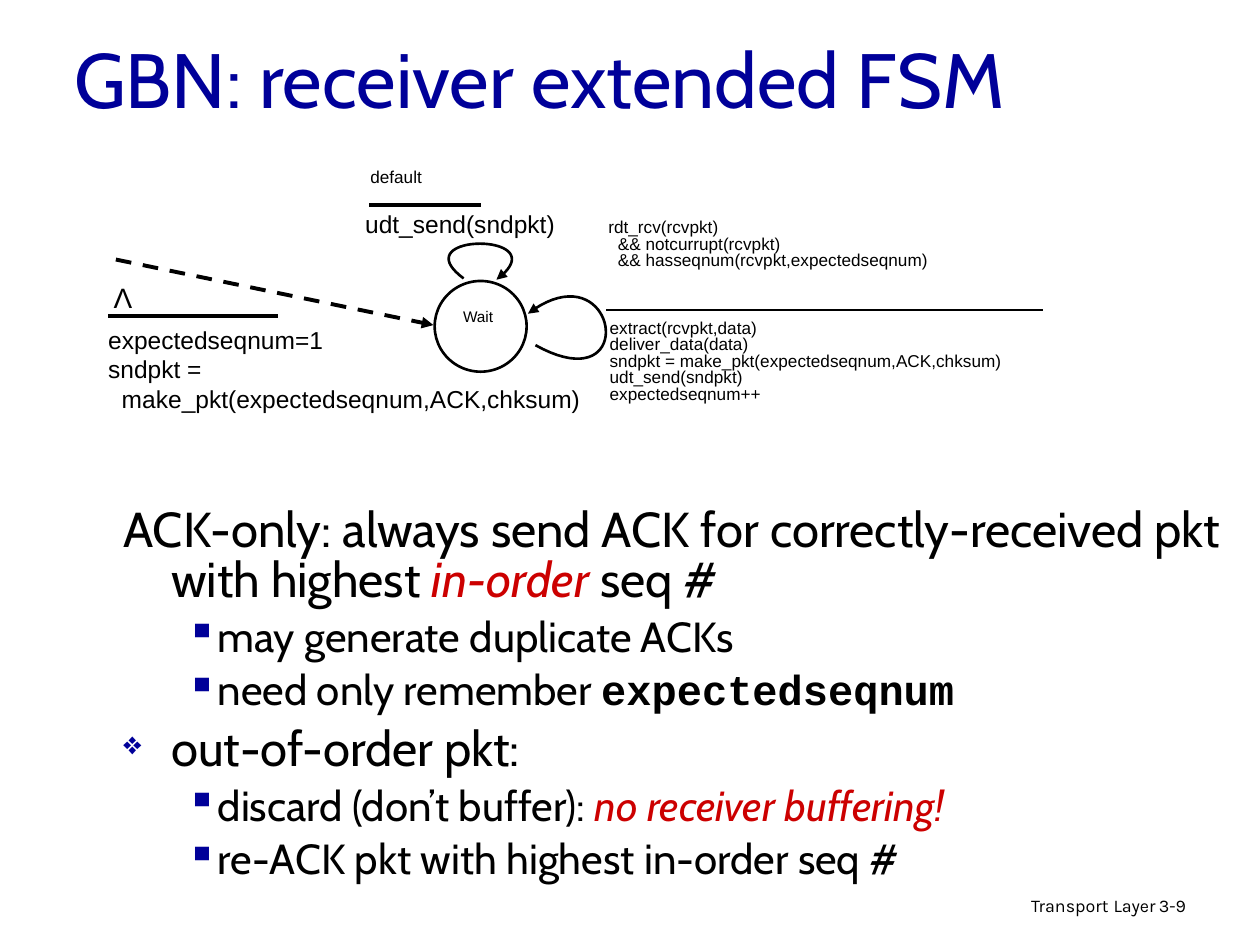
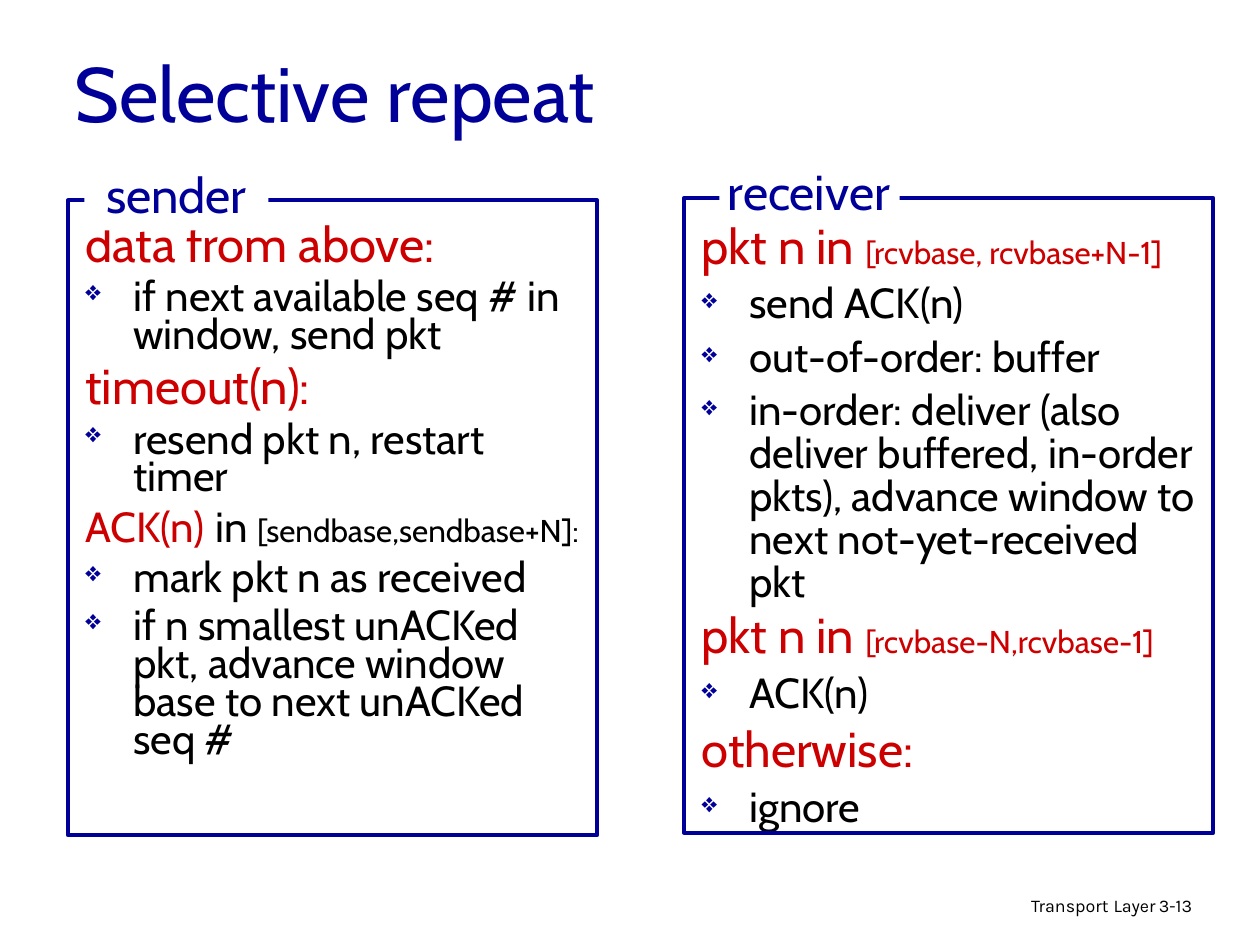
from dataclasses import dataclass

from pptx import Presentation
from pptx.dml.color import RGBColor
from pptx.enum.dml import MSO_LINE
from pptx.enum.shapes import MSO_CONNECTOR, MSO_SHAPE
from pptx.enum.text import MSO_ANCHOR, PP_ALIGN
from pptx.oxml import parse_xml
from pptx.oxml.ns import nsdecls, qn
from pptx.util import Pt

PX = 9144  # 100 px to the inch


@dataclass(frozen=True)
class Theme:
    navy: str = "000099"
    red: str = "CC0000"
    black: str = "000000"
    white: str = "FFFFFF"
    body: str = "Cabin"
    code: str = "Courier New"
    diagram: str = "Arial"
    footer: str = "Karla"
    title_pt: float = 44
    head_pt: float = 28
    item_pt: float = 24
    range_pt: float = 18
    lambda_pt: float = 16
    action_pt: float = 14
    event_pt: float = 9.8
    state_pt: float = 8.8
    footer_pt: float = 10.2
    thick: float = 2.25
    thin: float = 1.5


T = Theme()

# Font formats: attributes of a run's font, plus its ink colour
TITLE = dict(name=T.body, size=Pt(T.title_pt), ink=T.navy)
HEAD = dict(name=T.body, size=Pt(T.head_pt), ink=T.black)
ITEM = HEAD | dict(size=Pt(T.item_pt))
RED_HEAD = HEAD | dict(ink=T.red)
RED_RANGE = RED_HEAD | dict(size=Pt(T.range_pt))
RANGE = RED_RANGE | dict(ink=T.black)
LABEL = HEAD | dict(ink=T.navy)
ACTION = dict(name=T.diagram, size=Pt(T.action_pt), ink=T.black)
EVENT = ACTION | dict(size=Pt(T.event_pt))
STATE = ACTION | dict(size=Pt(T.state_pt))
LAMBDA = ACTION | dict(size=Pt(T.lambda_pt))
FOOTER = dict(name=T.footer, size=Pt(T.footer_pt), ink=T.black)

# List levels: left margin, hanging indent, bullet, bullet size in percent
PLAIN = (38, -38, None, 100)
DIAMOND = (38, -38, "❖", 65)
SQUARE = (75, -25, "▪", 100)


def apply(target, values):
    for name, value in values.items():
        setattr(target, name, value)


def emu(*lengths):
    return [round(length * PX) for length in lengths]


def within(box, part):
    return box[0] + part[0], box[1] + part[1], *part[2:]


def set_level(paragraph, level):
    margin, indent, bullet, percent = level
    props = paragraph._p.get_or_add_pPr()
    props.set("marL", str(margin * PX))
    props.set("indent", str(indent * PX))
    if not bullet:
        return
    for xml in (
        f'<a:buClr {nsdecls("a")}><a:srgbClr val="{T.navy}"/></a:buClr>',
        f'<a:buSzPct {nsdecls("a")} val="{percent * 1000}"/>',
        f'<a:buChar {nsdecls("a")} char="{bullet}"/>',
    ):
        props.append(parse_xml(xml))


def add_runs(paragraph, runs):
    for words, style in runs:
        run = paragraph.add_run()
        run.text = words
        apply(run.font, {k: v for k, v in style.items() if k != "ink"})
        run.font.color.rgb = RGBColor.from_string(style["ink"])


def add_text(slide, box, lines, anchor=MSO_ANCHOR.TOP, wrap=True, **layout):
    """Each line is (runs, level, space before); layout goes to every paragraph."""
    frame = slide.shapes.add_textbox(*emu(*box)).text_frame
    apply(frame, dict(word_wrap=wrap, vertical_anchor=anchor))
    for index, (runs, level, before) in enumerate(lines):
        paragraph = frame.add_paragraph() if index else frame.paragraphs[0]
        if level:
            set_level(paragraph, level)
        apply(paragraph, layout | dict(space_before=Pt(before if index else 0)))
        add_runs(paragraph, runs)


def add_lines(slide, box, words, style, **layout):
    lines = [([(line, style)], None, 0) for line in words]
    add_text(slide, box, lines, **layout)


def stroke(shape, width, ink=T.black, dash=None, arrow=False):
    shape.line.color.rgb = RGBColor.from_string(ink)
    apply(shape.line, dict(width=Pt(width), dash_style=dash))
    if arrow:
        outline = shape.element.spPr.find(qn("a:ln"))
        outline.append(parse_xml(f'<a:tailEnd {nsdecls("a")} type="triangle"/>'))


def add_line(slide, start, end, width, **look):
    line = slide.shapes.add_connector(MSO_CONNECTOR.STRAIGHT, *emu(*start, *end))
    stroke(line, width, **look)
    line.element.spPr.append(parse_xml(f'<a:effectLst {nsdecls("a")}/>'))


def add_shape(slide, kind, box, fill=None):
    shape = slide.shapes.add_shape(kind, *emu(*box))
    shape.shadow.inherit = False
    shape.line.fill.background()
    if fill:
        shape.fill.solid()
        shape.fill.fore_color.rgb = RGBColor.from_string(fill)
    else:
        shape.fill.background()
    return shape


def add_loop(slide, controls, steps=40):
    """Cubic curve with an arrowhead, drawn through evenly stepped points."""
    def point(t):
        weights = ((1 - t) ** 3, 3 * t * (1 - t) ** 2, 3 * t * t * (1 - t), t ** 3)
        return emu(*(sum(w * c for w, c in zip(weights, axis)) for axis in zip(*controls)))

    builder = slide.shapes.build_freeform(*point(0))
    builder.add_line_segments([point(i / steps) for i in range(1, steps + 1)], close=False)
    loop = builder.convert_to_shape()
    loop.shadow.inherit = False
    loop.fill.background()
    stroke(loop, T.thin, arrow=True)


def new_slide(deck, title, title_box, number):
    slide = deck.slides.add_slide(deck.slide_layouts[6])
    add_lines(slide, title_box, [title], TITLE, anchor=MSO_ANCHOR.MIDDLE)
    footer = [("Transport", FOOTER), (" ", FOOTER | dict(size=Pt(11.9))), ("Layer", FOOTER)]
    add_text(slide, (610, 705, 317, 31), [(footer, None, 0)],
             alignment=PP_ALIGN.RIGHT, line_spacing=0.9)
    add_lines(slide, (910, 707, 74, 30), [number], FOOTER, line_spacing=0.9)
    return slide


def state_machine(slide, box):
    def at(*part):
        return within(box, part)

    # Wait state and its incoming transition
    stroke(add_shape(slide, MSO_SHAPE.OVAL, at(269, 93, 73, 72), T.white), T.thin)
    add_lines(slide, at(260, 112, 87, 26), ["Wait"], STATE,
              alignment=PP_ALIGN.CENTER, line_spacing=0.8)
    add_line(slide, at(16, 76), at(268, 128), T.thick, dash=MSO_LINE.DASH, arrow=True)
    add_lines(slide, at(4, 88, 35, 37), ["Λ"], LAMBDA,
              wrap=False, alignment=PP_ALIGN.CENTER)
    add_line(slide, at(10, 121), at(145, 121), T.thick)
    add_lines(slide, at(0, 123, 398, 107), [
        "expectedseqnum=1",
        "sndpkt =",
        "  make_pkt(expectedseqnum,ACK,chksum)",
    ], ACTION)

    # Default transition
    add_lines(slide, at(208, 0, 79, 27), ["default"], EVENT, line_spacing=0.8)
    add_line(slide, at(217, 33), at(306, 33), T.thick)
    add_lines(slide, at(204, 31, 177, 34), ["udt_send(sndpkt)"], ACTION)
    add_loop(slide, [at(292, 91), at(242, 54), at(369, 54), at(318, 92)])

    # In-order packet transition
    add_lines(slide, at(397, 40, 390, 62), [
        "rdt_rcv(rcvpkt)",
        "  && notcurrupt(rcvpkt)",
        "  && hasseqnum(rcvpkt,expectedseqnum)",
    ], EVENT, line_spacing=0.8)
    add_line(slide, at(405, 116), at(752, 116), T.thin)
    add_lines(slide, at(398, 120, 472, 94), [
        "extract(rcvpkt,data)",
        "deliver_data(data)",
        "sndpkt = make_pkt(expectedseqnum,ACK,chksum)",
        "udt_send(sndpkt)",
        "expectedseqnum++",
    ], EVENT, line_spacing=0.8)
    add_loop(slide, [at(349, 144), at(434, 191), at(414, 65), at(343, 119)])


def ack_rules(slide, box):
    stress = dict(ink=T.red, italic=True)
    add_text(slide, box, [
        ([("ACK-only: always send ACK for correctly-received pkt with highest ", HEAD),
          ("in-order", HEAD | stress), (" seq #", HEAD)], PLAIN, 0),
        ([("may generate duplicate ACKs", ITEM)], SQUARE, 6),
        ([("need only remember ", ITEM),
          ("expectedseqnum", ITEM | dict(name=T.code, bold=True))], SQUARE, 6),
        ([("out-of-order pkt:", HEAD)], DIAMOND, 7),
        ([("discard (don’t buffer): ", ITEM),
          ("no receiver buffering!", ITEM | stress)], SQUARE, 6),
        ([("re-ACK pkt with highest in-order seq #", ITEM)], SQUARE, 6),
    ], line_spacing=0.85)


def role_panel(slide, box, role, label, gap, rules, spacing):
    """Framed list whose top edge is broken by the name of the role."""
    add_text(slide, within(box, (4, 16, 417, 508)), rules, line_spacing=spacing)
    stroke(add_shape(slide, MSO_SHAPE.RECTANGLE, box), T.thick, T.navy)
    add_shape(slide, MSO_SHAPE.RECTANGLE, within(box, gap), T.white)
    add_lines(slide, within(box, label), [role], LABEL,
              wrap=False, alignment=PP_ALIGN.CENTER)


def item(words):
    return [(words, ITEM)], DIAMOND, 6


def event(words, interval=None, before=7):
    runs = [(words, RED_HEAD)]
    if interval:
        runs.append((interval, RED_RANGE))
    return runs, PLAIN, before


def receiver_fsm_slide(deck):
    slide = new_slide(deck, "GBN: receiver extended FSM", (49, 23, 850, 77), "3-9")
    ack_rules(slide, (88, 398, 891, 312))
    state_machine(slide, (76, 130, 870, 230))


def selective_repeat_slide(deck):
    slide = new_slide(deck, "Selective repeat", (49, 27, 850, 92), "3-13")
    sender_tab = (13, -33, 146, 57)
    role_panel(slide, (54, 159, 420, 504), "sender", sender_tab, sender_tab, [
        event("data from above:"),
        item("if next available seq # in window, send pkt"),
        event("timeout(n):"),
        item("resend pkt n, restart timer"),
        ([("ACK(n)", ITEM | dict(ink=T.red)), (" ", HEAD), ("in ", ITEM),
          ("[sendbase,sendbase+N]:", RANGE)], PLAIN, 4.5),
        item("mark pkt n as received"),
        item("if n smallest unACKed pkt, advance window base to next unACKed seq #"),
    ], 0.75)
    role_panel(slide, (543, 157, 420, 504), "receiver",
               (16, -34, 166, 57), (28, -15, 143, 31), [
        event("pkt n in ", "[rcvbase, rcvbase+N-1]"),
        item("send ACK(n)"),
        item("out-of-order: buffer"),
        item("in-order: deliver (also deliver buffered, in-order pkts), "
             "advance window to next not-yet-received pkt"),
        event("pkt n in ", "[rcvbase-N,rcvbase-1]", 4.5),
        item("ACK(n)"),
        event("otherwise:", before=6),
        item("ignore"),
    ], 0.85)


def main():
    deck = Presentation()
    apply(deck, dict(slide_width=1000 * PX, slide_height=750 * PX))
    receiver_fsm_slide(deck)
    selective_repeat_slide(deck)
    deck.save("out.pptx")


if __name__ == "__main__":
    main()
